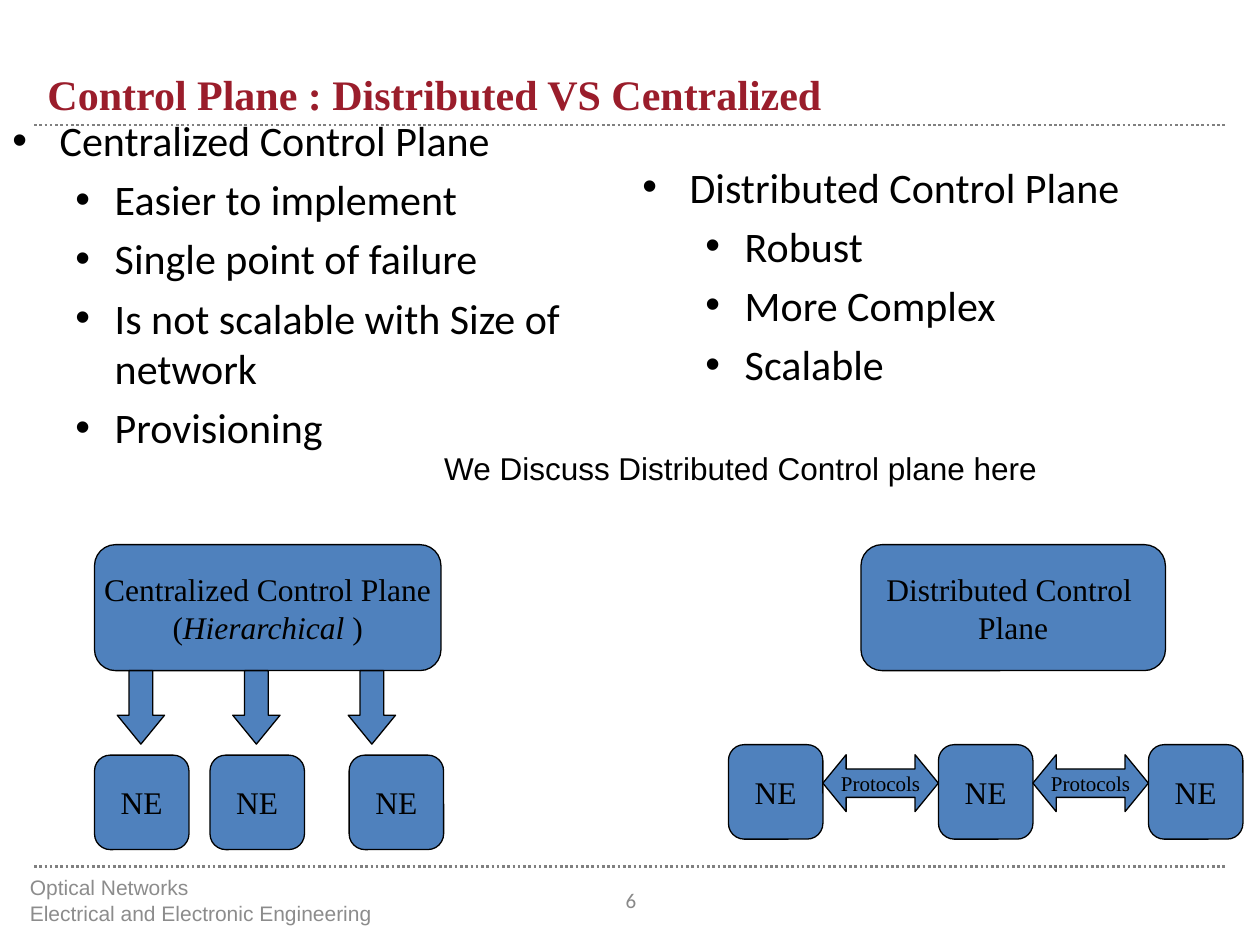
import pptx
import pptx.dml.color
import pptx.enum.shapes
import pptx.enum.text
import pptx.oxml.ns
import pptx.util
from lxml import etree

Pt = pptx.util.Pt
SHAPES = pptx.enum.shapes.MSO_SHAPE
ANCHORS = pptx.enum.text.MSO_ANCHOR
ALIGNS = pptx.enum.text.PP_ALIGN

BLACK = pptx.dml.color.RGBColor(0x00, 0x00, 0x00)
BLUE = pptx.dml.color.RGBColor(0x4F, 0x81, 0xBD)
RED = pptx.dml.color.RGBColor(0x9A, 0x1D, 0x2B)
RULE_GRAY = pptx.dml.color.RGBColor(0x80, 0x80, 0x80)
FOOTER_GRAY = pptx.dml.color.RGBColor(0x8C, 0x8C, 0x8C)
NUMBER_GRAY = pptx.dml.color.RGBColor(0x89, 0x89, 0x89)

SERIF = "Times New Roman"
NODE_SIZE = 54


def add_child(parent, tag, **attributes):
    return etree.SubElement(parent, pptx.oxml.ns.qn(tag), **attributes)


def add_span(para, text, size, font, color, bold=False, italic=False):
    span = para.add_run()
    span.text = text
    span.font.size = Pt(size)
    span.font.name = font
    span.font.color.rgb = color
    span.font.bold = bold
    span.font.italic = italic


def set_bullet(para, level):
    margin, hanging = [(27, 27), (58.5, 22.5)][level]
    para.level = level
    para.space_before = Pt(5)
    properties = para._p.get_or_add_pPr()
    properties.set("marL", str(Pt(margin)))
    properties.set("indent", str(-Pt(hanging)))
    add_child(properties, "a:buFont", typeface="Arial")
    add_child(properties, "a:buChar", char="•")


def write_text(shape, lines, size=18, font=SERIF, color=BLACK, bold=False,
               align=ALIGNS.LEFT, anchor=ANCHORS.TOP, wrap=True, bullets=False):
    """Write one paragraph per line; a line is a string or (text, italic) pairs."""
    frame = shape.text_frame
    frame.word_wrap = wrap
    frame.vertical_anchor = anchor
    for index, line in enumerate(lines):
        para = frame.paragraphs[0] if index == 0 else frame.add_paragraph()
        para.alignment = align
        if bullets:
            set_bullet(para, min(index, 1))
        pieces = [(line, False)] if isinstance(line, str) else line
        for text, italic in pieces:
            add_span(para, text, size, font, color, bold, italic)


def add_label(page, bounds, lines, **text_format):
    box = page.shapes.add_textbox(*map(Pt, bounds))
    write_text(box, lines, **text_format)


def add_block(page, kind, bounds, adjustments, lines=(), size=18):
    block = page.shapes.add_shape(kind, *map(Pt, bounds))
    block.shadow.inherit = False
    for index, value in enumerate(adjustments):
        block.adjustments[index] = value
    block.fill.solid()
    block.fill.fore_color.rgb = BLUE
    block.line.color.rgb = BLACK
    block.line.width = Pt(0.75)
    write_text(block, lines, size=size, align=ALIGNS.CENTER,
               anchor=ANCHORS.MIDDLE, wrap=False)


def add_rounded(page, bounds, lines):
    add_block(page, SHAPES.ROUNDED_RECTANGLE, bounds, [0.167], lines)


def add_node(page, left, top):
    add_rounded(page, (left, top, NODE_SIZE, NODE_SIZE), ["NE"])


def add_rule(page, top):
    rule = page.shapes.add_connector(
        pptx.enum.shapes.MSO_CONNECTOR.STRAIGHT,
        Pt(19.5), Pt(top), Pt(700.5), Pt(top))
    rule.line.color.rgb = RULE_GRAY
    rule.line.width = Pt(1.5)
    rule.line.dash_style = pptx.enum.dml.MSO_LINE.ROUND_DOT
    add_child(rule._element.spPr, "a:effectLst")


def add_centralized_diagram(page):
    add_rounded(page, (54, 311.25, 198, 72),
                ["Centralized Control Plane",
                 [("(", False), ("Hierarchical", True), (" )", False)]])
    for left in (54, 120, 199.5):
        add_node(page, left, 431.5)
    for column in range(3):
        add_block(page, SHAPES.DOWN_ARROW, (67 + 66 * column, 383.25, 27, 42),
                  [0.5, 0.611])


def add_distributed_diagram(page):
    add_rounded(page, (492, 311.25, 174, 72), ["Distributed Control ", "Plane"])
    first, pitch = 416.25, 120
    for column in range(3):
        add_node(page, first + pitch * column, 425.5)
    for column in range(2):
        left = first + NODE_SIZE + pitch * column
        add_block(page, SHAPES.LEFT_RIGHT_ARROW,
                  (left, 431.25, pitch - NODE_SIZE, 32.5),
                  [0.5, 0.409], ["Protocols"], size=12)


def main():
    deck = pptx.Presentation()
    deck.slide_width, deck.slide_height = Pt(720), Pt(540)
    page = deck.slides.add_slide(deck.slide_layouts[6])

    for top in (71.5, 495.25):
        add_rule(page, top)
    add_label(page, (20, 0, 680, 71.5),
              ["Control Plane : Distributed VS Centralized"],
              size=24, color=RED, bold=True, anchor=ANCHORS.BOTTOM)
    add_label(page, (10, 500, 304.5, 28.75),
              ["Optical Networks", "Electrical and Electronic Engineering"],
              size=12, font="Arial", color=FOOTER_GRAY, anchor=ANCHORS.MIDDLE)
    add_label(page, (332, 500, 57, 28.75), ["6"], size=12, font="Calibri",
              color=NUMBER_GRAY, align=ALIGNS.CENTER, anchor=ANCHORS.MIDDLE)

    add_label(page, (0, 62, 354, 202.5),
              ["Centralized Control Plane", "Easier to implement",
               "Single point of failure",
               "Is not scalable with Size of network", "Provisioning"],
              size=24, font="Calibri", bullets=True)
    add_centralized_diagram(page)
    add_distributed_diagram(page)
    add_label(page, (360, 88.5, 360, 141),
              ["Distributed Control Plane", "Robust", "More Complex", "Scalable"],
              size=24, font="Calibri", bullets=True)
    add_label(page, (246.75, 253, 353.5, 29),
              ["We Discuss Distributed Control plane here"],
              font="Arial", wrap=False)

    deck.save("out.pptx")


if __name__ == "__main__":
    main()
